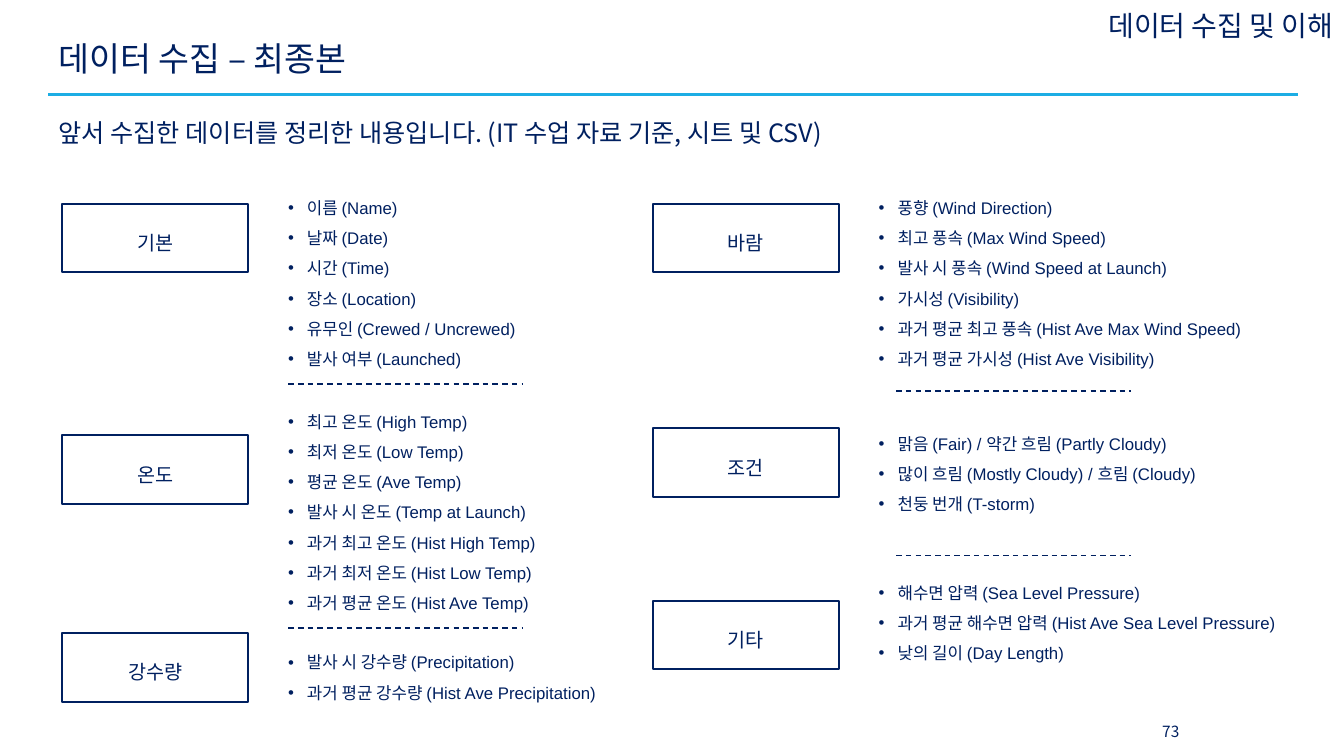
from lxml import etree
from pptx import Presentation
from pptx import util as u
from pptx.dml import color
from pptx.enum import dml, shapes, text
from pptx.oxml import ns

HUES = {"navy": "002060", "sky": "1CADE4", "white": "FFFFFF"}
SANS, LATIN = "Noto Sans CJK KR", "Arial"
LEFT, RIGHT = text.PP_ALIGN.LEFT, text.PP_ALIGN.RIGHT
MID = text.PP_ALIGN.CENTER

GROUPS = [
    (0, "기본", 145.5, 125.3, 140.4,
     ["이름 (Name)", "날짜 (Date)", "시간 (Time)", "장소 (Location)",
      "유무인 (Crewed / Uncrewed)", "발사 여부 (Launched)"]),
    (0, "온도", 311, 278, 183.6,
     ["최고 온도 (High Temp)", "최저 온도 (Low Temp)", "평균 온도 (Ave Temp)",
      "발사 시 온도 (Temp at Launch)", "과거 최고 온도 (Hist High Temp)",
      "과거 최저 온도 (Hist Low Temp)", "과거 평균 온도 (Hist Ave Temp)"]),
    (0, "강수량", 452.2, 450, 53.3,
     ["발사 시 강수량 (Precipitation)",
      "과거 평균 강수량 (Hist Ave Precipitation)"]),
    (1, "바람", 145.5, 125.3, 140.4,
     ["풍향 (Wind Direction)", "최고 풍속 (Max Wind Speed)",
      "발사 시 풍속 (Wind Speed at Launch)", "가시성 (Visibility)",
      "과거 평균 최고 풍속 (Hist Ave Max Wind Speed)",
      "과거 평균 가시성 (Hist Ave Visibility)"]),
    (1, "조건", 306, 293.8, 74.9,
     ["맑음 (Fair) / 약간 흐림 (Partly Cloudy)",
      "많이 흐림 (Mostly Cloudy) / 흐림 (Cloudy)", "천둥 번개 (T-storm)"]),
    (1, "기타", 429.1, 400.3, 96.5,
     ["해수면 압력 (Sea Level Pressure)",
      "과거 평균 해수면 압력 (Hist Ave Sea Level Pressure)",
      "낮의 길이 (Day Length)"]),
]
BREAKS = [(205.9, 274.3), (205.9, 448.6), (640.1, 279.4), (640.1, 396.7)]
TAGS, LISTS, WIDTHS = (44.6, 466.6), (198.7, 620.6), (254.2, 298)


class Page:
    """Holds the slide and its style, and draws each kind of element."""

    def __init__(self, deck):
        self.slide = deck.slides.add_slide(deck.slide_layouts[1])
        self.shapes = self.slide.shapes

    def hue(self, name):
        return color.RGBColor.from_string(HUES[name])

    def mark(self, para, char=None):
        props = para._p.get_or_add_pPr()
        inset = u.Pt(13.5) if char else 0
        props.set("marL", str(inset))
        props.set("indent", str(-inset))
        if char:
            etree.SubElement(props, ns.qn("a:buFont")).set("typeface", LATIN)
            etree.SubElement(props, ns.qn("a:buChar")).set("char", char)
        else:
            etree.SubElement(props, ns.qn("a:buNone"))

    def fill(self, frame, lines, size, align=LEFT, gap=1.0, face=SANS,
             char=None):
        for i, line in enumerate(lines):
            para = frame.paragraphs[0] if i == 0 else frame.add_paragraph()
            para.text = line
            para.alignment = align
            para.line_spacing = gap
            para.space_before = u.Pt(0)
            self.mark(para, char)
            font = para.font
            font.size = u.Pt(size)
            font.name = face
            font.color.rgb = self.hue("navy")
            props = para._p.pPr.find(ns.qn("a:defRPr"))
            etree.SubElement(props, ns.qn("a:ea")).set("typeface", SANS)

    def place(self, holder, area, line, size, gap, anchor):
        holder.left, holder.top, holder.width, holder.height = map(u.Pt, area)
        frame = holder.text_frame
        frame.auto_size = text.MSO_AUTO_SIZE.NONE
        frame.vertical_anchor = anchor
        self.fill(frame, [line], size, gap=gap)

    def label(self, area, line, size, align, wrap=True):
        frame = self.shapes.add_textbox(*map(u.Pt, area)).text_frame
        frame.word_wrap = wrap
        frame.vertical_anchor = text.MSO_ANCHOR.MIDDLE
        self.fill(frame, [line], size, align)

    def tag(self, x, y, line):
        box = self.shapes.add_shape(shapes.MSO_SHAPE.RECTANGLE, u.Pt(x),
                                    u.Pt(y), u.Pt(132.5), u.Pt(49))
        box.shadow.inherit = False
        box.fill.solid()
        box.fill.fore_color.rgb = self.hue("white")
        box.line.color.rgb = self.hue("navy")
        box.line.width = u.Pt(1.5)
        box.text_frame.vertical_anchor = text.MSO_ANCHOR.MIDDLE
        self.fill(box.text_frame, [line], 14, MID, 1.4)

    def items(self, area, lines):
        frame = self.shapes.add_textbox(*map(u.Pt, area)).text_frame
        frame.word_wrap = True
        frame.auto_size = text.MSO_AUTO_SIZE.SHAPE_TO_FIT_TEXT
        frame.margin_top = u.Pt(8.64)
        self.fill(frame, lines, 12, gap=1.5, face=LATIN, char="•")

    def rule(self, x, y, width, hue, weight, dash=None):
        line = self.shapes.add_connector(
            shapes.MSO_CONNECTOR.STRAIGHT,
            u.Pt(x), u.Pt(y), u.Pt(x + width), u.Pt(y))
        line.line.color.rgb = self.hue(hue)
        line.line.width = u.Pt(weight)
        if dash:
            line.line.dash_style = dash
        etree.SubElement(line._element.spPr, ns.qn("a:effectLst"))


def main():
    deck = Presentation()
    deck.slide_width, deck.slide_height = u.Pt(960), u.Pt(540)
    page = Page(deck)
    title, body = page.slide.placeholders
    page.rule(34.6, 67.7, 892.8, "sky", 2.25)
    page.place(title, (34.6, 20.9, 892.8, 45.4), "데이터 수집 – 최종본",
               24, 0.9, text.MSO_ANCHOR.MIDDLE)
    page.place(body, (34.6, 73.4, 892.8, 90.7),
               "앞서 수집한 데이터를 정리한 내용입니다. (IT 수업 자료 기준, 시트 및 CSV)",
               18, 1.3, text.MSO_ANCHOR.TOP)
    for col, name, y, top, height, lines in GROUPS:
        page.tag(TAGS[col], y, name)
        page.items((LISTS[col], top, WIDTHS[col], height), lines)
    for x, y in BREAKS:
        page.rule(x, y, 167.8, "navy", 1, dml.MSO_LINE.DASH)
    page.label((813.6, 508.3, 45.4, 28.8), "73", 11, MID)
    page.label((666.7, 2.9, 293, 31), "데이터 수집 및 이해", 20, RIGHT, False)
    deck.save("out.pptx")


if __name__ == "__main__":
    main()
